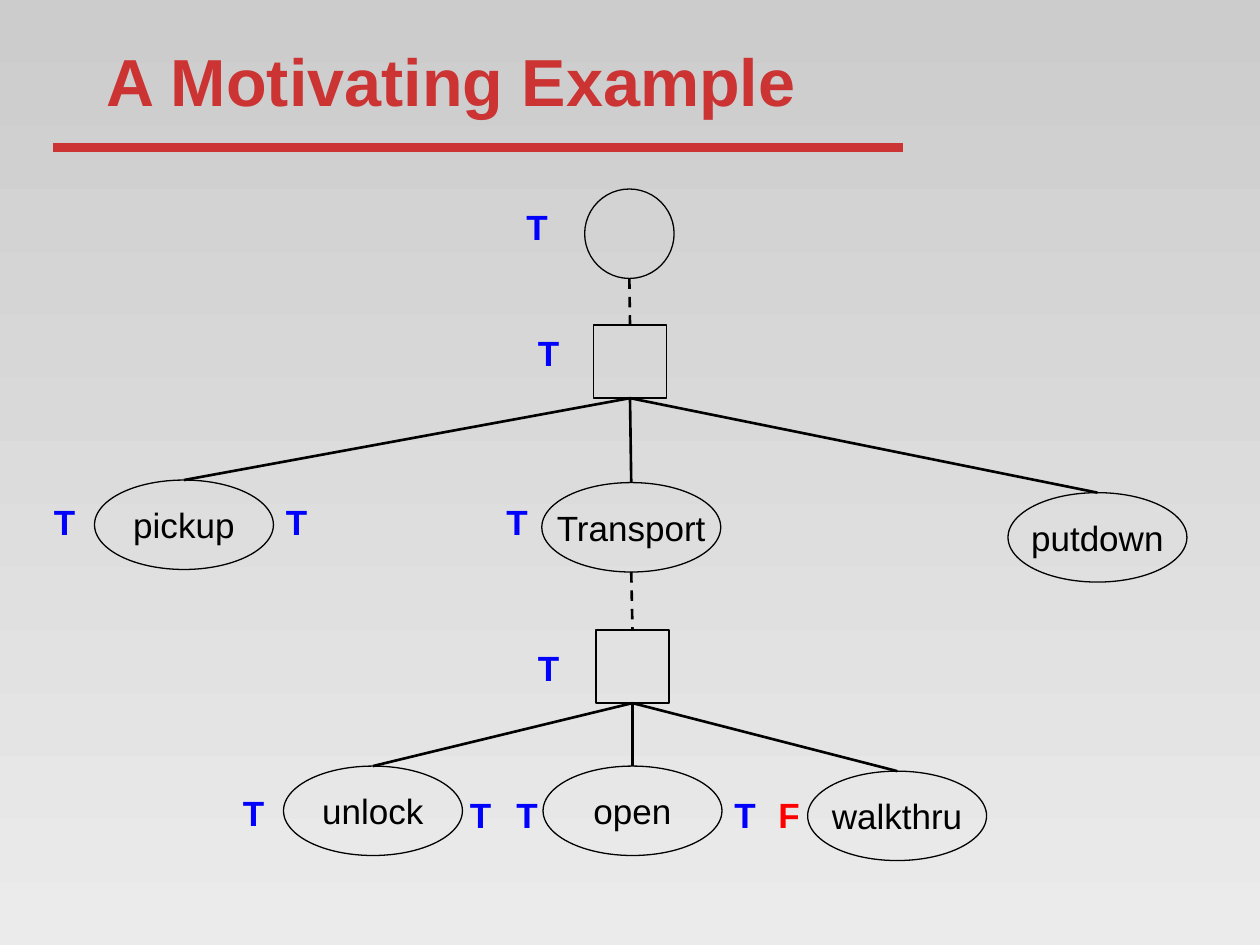
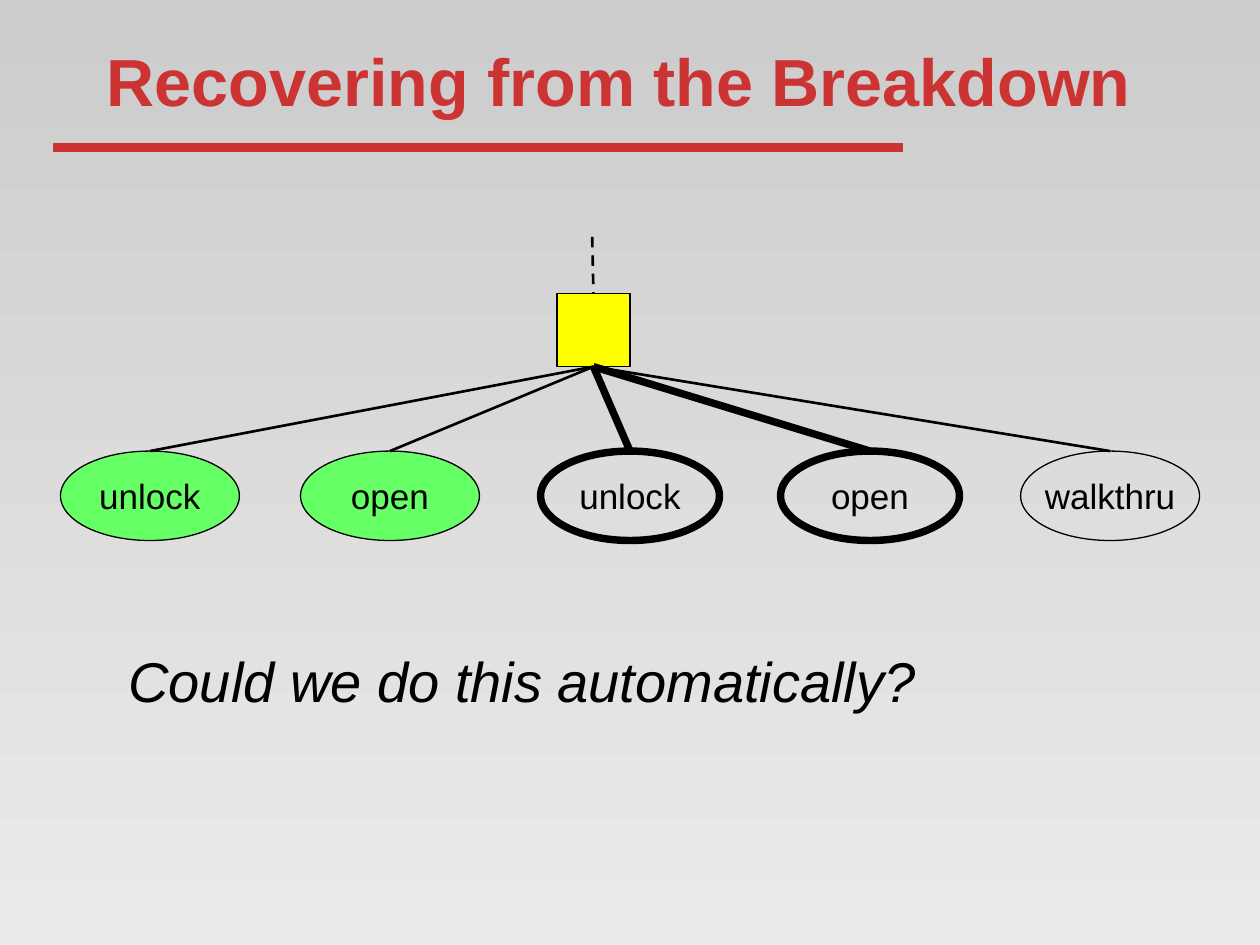
from lxml.etree import SubElement
from pptx import Presentation
from pptx.dml.color import RGBColor
from pptx.enum.dml import MSO_LINE as Dash
from pptx.enum.shapes import MSO_CONNECTOR as Conn, MSO_SHAPE as Kind
from pptx.enum.text import MSO_ANCHOR as Anchor, PP_ALIGN as Align
from pptx.oxml.ns import qn
from pptx.util import Inches, Pt

# Shared colours and font
RED = RGBColor(0xCC, 0x33, 0x33)
TOP = RGBColor(0xCC, 0xCC, 0xCC)
BASE = RGBColor(0xEB, 0xEB, 0xEB)
BLACK = RGBColor(0, 0, 0)
BLUE = RGBColor(0, 0, 0xFF)
FALSE = RGBColor(0xFF, 0, 0)
GREEN = RGBColor(0x66, 0xFF, 0x66)
YELLOW = RGBColor(0xFF, 0xFF, 0)
FONT = "Arial"

# Line widths in points
THIN, LINK, BOLD = 0.75, 1.5, 4.25

# Node sizes in inches
SIZES = {"ring": (0.71, 0.71), "box": (0.58, 0.58), "task": (1.42, 0.71)}


def write(shape, words, size, color, bold=False, italic=False):
    """Put one run of text into a shape and return its paragraph."""
    para = shape.text_frame.paragraphs[0]
    run = para.add_run()
    run.text = words
    font = run.font
    font.name, font.size = FONT, Pt(size)
    font.bold, font.italic = bold, italic
    font.color.rgb = color
    return para


def link(slide, start, end, width, color=BLACK, dash=False):
    """Draw a straight line between two points."""
    line = slide.shapes.add_connector(Conn.STRAIGHT, *start, *end)
    line.line.color.rgb = color
    line.line.width = Pt(width)
    if dash:
        line.line.dash_style = Dash.DASH
    SubElement(line._element.spPr, qn("a:effectLst"))


deck = Presentation()
deck.slide_width, deck.slide_height = Inches(10), Inches(7.5)

# Background, title and rule of each slide
slides = []
for title in ("A Motivating Example", "Recovering from the Breakdown"):
    slide = deck.slides.add_slide(deck.slide_layouts[6])
    fill = slide.background.fill
    fill.gradient()
    fill.gradient_angle = 270
    for stop, shade in zip(fill.gradient_stops, (TOP, BASE)):
        stop.color.rgb = shade
    link(slide, (Inches(0.42), Inches(1.17)), (Inches(7.17), Inches(1.17)), 5, RED)
    head = slide.shapes.add_textbox(Inches(0.75), Inches(0.17), Inches(8.5), Inches(0.92))
    head.text_frame.word_wrap = True
    head.text_frame.vertical_anchor = Anchor.MIDDLE
    write(head, title, 38, RED, bold=True)
    slides.append(slide)
tree, fix = slides

# Nodes: slide, key, size, label, left, top, fill, line width
nodes = [
    (tree, "root", "ring", "", 4.64, 1.5, None, THIN),
    (tree, "plan", "box", "", 4.71, 2.58, None, THIN),
    (tree, "pickup", "task", "pickup", 0.75, 3.81, None, THIN),
    (tree, "move", "task", "Transport", 4.3, 3.83, None, THIN),
    (tree, "putdown", "task", "putdown", 8, 3.91, None, THIN),
    (tree, "steps", "box", "", 4.73, 5, None, THIN),
    (tree, "unlock", "task", "unlock", 2.25, 6.08, None, THIN),
    (tree, "open", "task", "open", 4.31, 6.08, None, THIN),
    (tree, "walk", "task", "walkthru", 6.41, 6.12, None, THIN),
    (fix, "mend", "box", "", 4.42, 2.33, YELLOW, THIN),
]

# Second slide: one even row of tasks
row = [("unlock", GREEN, THIN), ("open", GREEN, THIN), ("unlock", None, BOLD),
       ("open", None, BOLD), ("walkthru", None, THIN)]
for i, (label, fill, width) in enumerate(row):
    nodes.append((fix, i, "task", label, 0.48 + 1.905 * i, 3.58, fill, width))

tops, feet = {}, {}
for slide, key, size, label, x, y, fill, width in nodes:
    w, h = SIZES[size]
    kind = Kind.RECTANGLE if size == "box" else Kind.OVAL
    node = slide.shapes.add_shape(kind, Inches(x), Inches(y), Inches(w), Inches(h))
    node.shadow.inherit = False
    if fill:
        node.fill.solid()
        node.fill.fore_color.rgb = fill
    else:
        node.fill.background()
    node.line.color.rgb = BLACK
    node.line.width = Pt(width)
    if label:
        node.text_frame.word_wrap = False
        node.text_frame.vertical_anchor = Anchor.MIDDLE
        write(node, label, 20, BLACK).alignment = Align.CENTER
    mid = node.left + node.width // 2
    tops[key] = mid, node.top
    feet[key] = mid, node.top + node.height

# Links from parent to child
for dad, kid in (("root", "plan"), ("move", "steps")):
    link(tree, feet[dad], tops[kid], LINK, dash=True)
for dad, kids in (("plan", ("pickup", "move", "putdown")),
                  ("steps", ("unlock", "open", "walk"))):
    for kid in kids:
        link(tree, feet[dad], tops[kid], LINK)

link(fix, (Inches(4.7), Inches(1.88)), tops["mend"], LINK, dash=True)
for i, (label, fill, width) in enumerate(row):
    link(fix, feet["mend"], tops[i], max(width, LINK))

# Truth marks beside the nodes
marks = [("T", 4.08, 1.58), ("T", 4.17, 2.58), ("T", 0.33, 3.92), ("T", 2.17, 3.92),
         ("T", 3.92, 3.92), ("T", 4.17, 5.08), ("T", 1.83, 6.23), ("T", 3.63, 6.25),
         ("T", 4, 6.25), ("T", 5.73, 6.25), ("F", 6.08, 6.25)]
for mark, x, y in marks:
    box = tree.shapes.add_textbox(Inches(x), Inches(y), Inches(0.42), Inches(0.44))
    box.text_frame.word_wrap = True
    write(box, mark, 20, BLUE if mark == "T" else FALSE, bold=True)

# Closing question
ask = fix.shapes.add_textbox(Inches(0.92), Inches(5.08), Inches(7.25), Inches(0.64))
ask.text_frame.word_wrap = True
write(ask, "Could we do this automatically?", 32, BLACK, italic=True)

deck.save("out.pptx")
